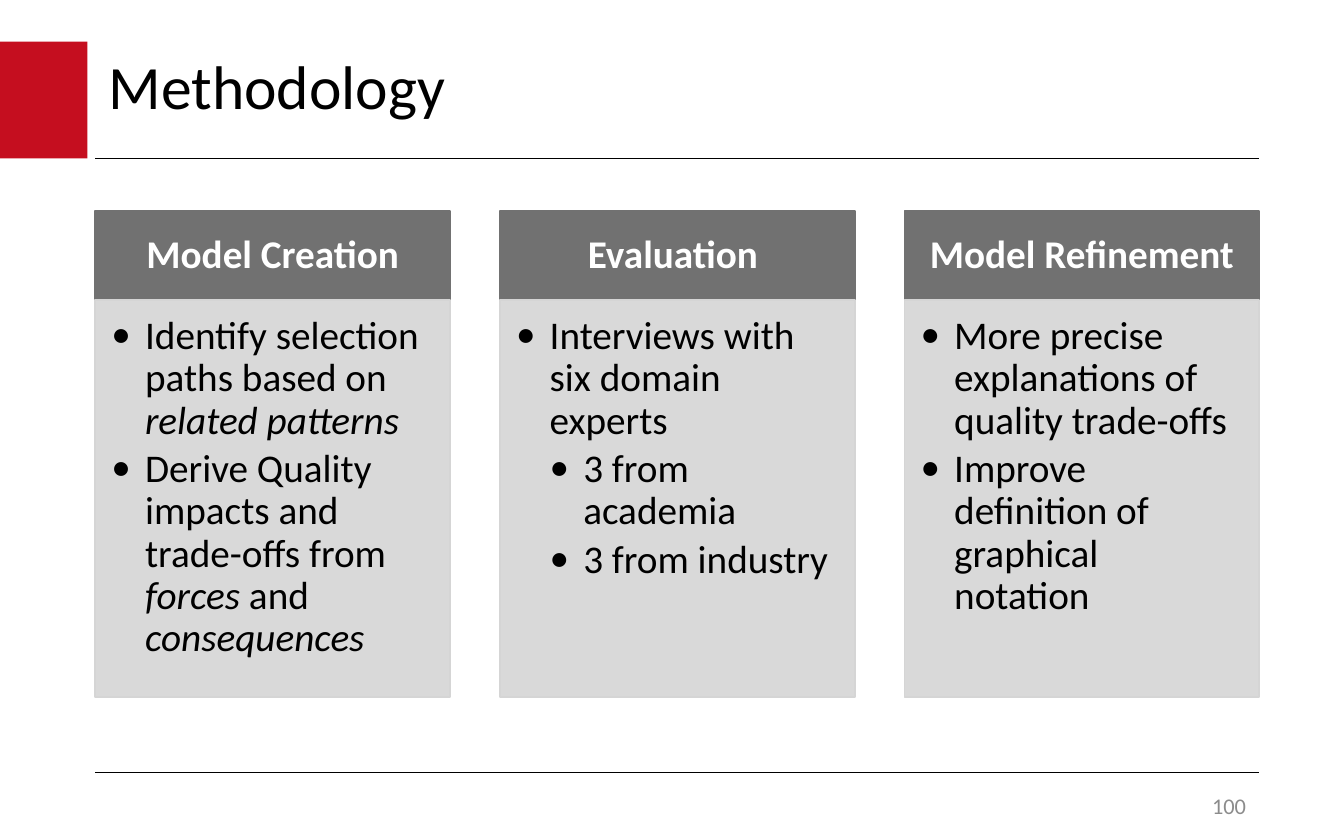
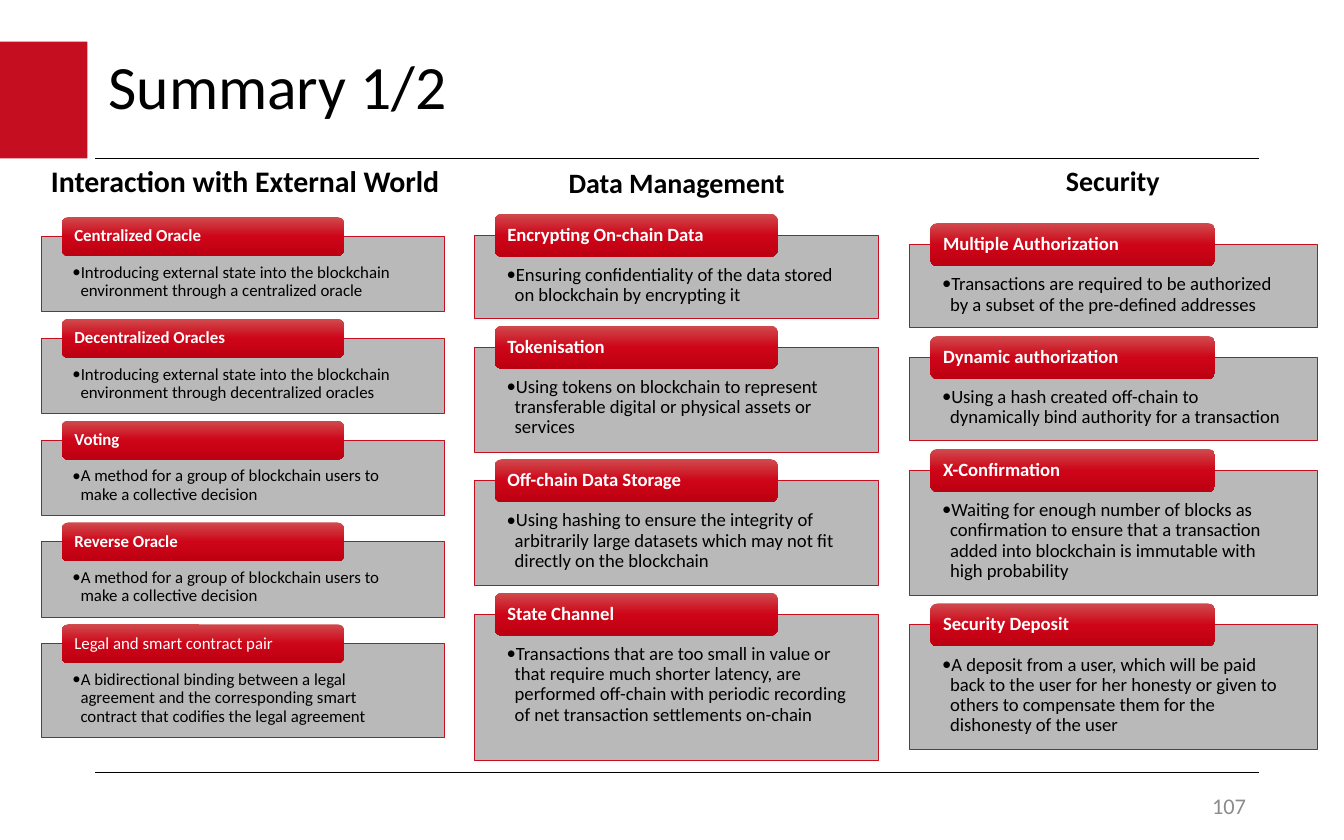
from copy import deepcopy
from dataclasses import dataclass

from lxml import etree
from pptx import Presentation
from pptx.dml.color import RGBColor
from pptx.enum.shapes import MSO_CONNECTOR, MSO_SHAPE
from pptx.enum.text import MSO_ANCHOR, PP_ALIGN
from pptx.oxml.ns import qn
from pptx.util import Inches, Pt

RECTANGLE, ROUNDED = MSO_SHAPE.RECTANGLE, MSO_SHAPE.ROUNDED_RECTANGLE
STRAIGHT = MSO_CONNECTOR.STRAIGHT
LEFT, CENTER, RIGHT = PP_ALIGN.LEFT, PP_ALIGN.CENTER, PP_ALIGN.RIGHT
TOP, MIDDLE = MSO_ANCHOR.TOP, MSO_ANCHOR.MIDDLE


@dataclass(frozen=True)
class Theme:
    font: str = "Calibri"
    black: str = "000000"
    white: str = "FFFFFF"
    red: str = "C50E1F"
    dark_gray: str = "717171"
    light_gray: str = "D5D5D5"
    card_gray: str = "B2B2B2"
    number_gray: str = "8C8C8C"
    tab_gradient: tuple = ("CF4B4E", "CE0518", "BC0011")
    title_size: int = 33
    step_size: int = 21
    number_size: int = 12


theme = Theme()


def write_text(shape, *paragraphs, size, color=theme.black, bold=False, align=LEFT,
               anchor=TOP, margins=(0.1, 0.05, 0.1, 0.05), spacing=0.9, indent=0):
    """Fill a shape with text; *stars* mark italics, and with an indent
    each paragraph is a (level, text) bullet."""
    frame = shape.text_frame
    frame.word_wrap = True
    frame.vertical_anchor = anchor
    (frame.margin_left, frame.margin_top,
     frame.margin_right, frame.margin_bottom) = map(Inches, margins)
    for index, text in enumerate(paragraphs):
        paragraph = frame.add_paragraph() if index else frame.paragraphs[0]
        if indent:
            level, text = text
            paragraph.level = level
            properties = paragraph._p.get_or_add_pPr()
            properties.set("marL", str(Inches(indent * level)))
            properties.set("indent", str(-Inches(indent)))
            etree.SubElement(properties, qn("a:buFont"), typeface=theme.font)
            etree.SubElement(properties, qn("a:buChar"), char="•")
            paragraph.space_after = Pt(0.15 * size)
        paragraph.alignment = align
        paragraph.line_spacing = spacing
        for position, part in enumerate(text.split("*")):
            if not part:
                continue
            run = paragraph.add_run()
            run.text = part
            run.font.name = theme.font
            run.font.size = Pt(size)
            run.font.bold = bold
            run.font.italic = position % 2 == 1
            run.font.color.rgb = RGBColor.from_string(color)


def add_box(slide, kind, left, top, width, height, fill, line=None, line_width=1,
            opacity=100):
    """Add a preset shape; a tuple of three colours gives a downward gradient."""
    shape = slide.shapes.add_shape(kind, *map(Inches, (left, top, width, height)))
    shape.shadow.inherit = False
    if isinstance(fill, tuple):
        shape.fill.gradient()
        shape.fill.gradient_angle = 270
        stop_list = shape.element.spPr.find(".//" + qn("a:gsLst"))
        stop_list.append(deepcopy(stop_list[0]))
        for index, stop in enumerate(shape.fill.gradient_stops):
            stop.position = index / 2
            stop.color.rgb = RGBColor.from_string(fill[index])
    else:
        shape.fill.solid()
        shape.fill.fore_color.rgb = RGBColor.from_string(fill)
        if opacity < 100:
            color = shape.element.spPr.find(".//" + qn("a:srgbClr"))
            etree.SubElement(color, qn("a:alpha"), val=str(opacity * 1000))
    if line:
        shape.line.color.rgb = RGBColor.from_string(line)
        shape.line.width = Pt(line_width)
    else:
        shape.line.fill.background()
    return shape


presentation = Presentation()
presentation.slide_width = Inches(10)
presentation.slide_height = Inches(6.25)
blank_layout = presentation.slide_layouts[6]

# Shared frame: red block, rules, title and page number
content_left, content_right = 0.71, 9.37
slides = []
for title, number in (("Methodology", "100"), ("Summary 1/2", "107")):
    slide = presentation.slides.add_slide(blank_layout)
    slides.append(slide)
    add_box(slide, RECTANGLE, 0, 0.31, 0.65, 0.87, theme.red)
    for rule_top in (1.18, 5.75):
        rule = slide.shapes.add_connector(
            STRAIGHT, Inches(content_left), Inches(rule_top),
            Inches(content_right), Inches(rule_top))
        rule.line.color.rgb = RGBColor.from_string(theme.black)
        rule.line.width = Pt(0.75)
        etree.SubElement(rule.element.spPr, qn("a:effectLst"))
    title_box = slide.shapes.add_textbox(
        Inches(content_left), Inches(0.31), Inches(8.66), Inches(0.71))
    write_text(title_box, title, size=theme.title_size, anchor=MIDDLE)
    number_box = slide.shapes.add_textbox(
        Inches(7.34), Inches(5.87), Inches(2.03), Inches(0.25))
    write_text(number_box, number, size=theme.number_size, color=theme.number_gray,
               align=RIGHT, anchor=MIDDLE, spacing=1)

methodology, summary = slides

# Methodology: three steps side by side
steps = (
    ("Model Creation", (
        (1, "Identify selection paths based on *related patterns*"),
        (1, "Derive Quality impacts and trade-offs from *forces* and *consequences*"))),
    ("Evaluation ", (
        (1, "Interviews with six domain experts"),
        (2, "3 from academia"),
        (2, "3 from industry"))),
    ("Model Refinement", (
        (1, "More precise explanations of quality trade-offs"),
        (1, "Improve definition of graphical notation"))),
)
step_width, step_pitch = 2.64, 3.01
for index, (step, points) in enumerate(steps):
    left = content_left + index * step_pitch
    header = add_box(methodology, RECTANGLE, left, 1.57, step_width, 0.66,
                     theme.dark_gray, theme.dark_gray)
    write_text(header, step, size=theme.step_size, color=theme.white, bold=True,
               align=CENTER, anchor=MIDDLE, margins=(0.16, 0.09, 0.16, 0.09))
    body = add_box(methodology, RECTANGLE, left, 2.23, step_width, 2.96,
                   theme.light_gray, theme.light_gray, opacity=90)
    write_text(body, *points, size=theme.step_size, indent=0.25,
               margins=(0.12, 0.12, 0.16, 0.18))

# Summary: three columns of pattern cards, spread evenly from top to bottom
columns = (
    dict(heading="Interaction with External World", heading_size=16,
         heading_at=(0.15, 1.16, 3.35, 0.37), left=0.31, top=1.76, bottom=5.49,
         width=3, inset=0.23, tab_height=0.29, size=9,
         cards=(
             ("Centralized Oracle", 0.56,
              "Introducing external state into the blockchain environment "
              "through a centralized oracle"),
             ("Decentralized Oracles", 0.56,
              "Introducing external state into the blockchain environment "
              "through decentralized oracles"),
             ("Voting", 0.56,
              "A method for a group of blockchain users to make a collective decision"),
             ("Reverse Oracle", 0.56,
              "A method for a group of blockchain users to make a collective decision"),
             ("Legal and smart contract pair", 0.7,
              "A bidirectional binding between a legal agreement and the corresponding "
              "smart contract that codifies the legal agreement"))),
    dict(heading="Data Management", heading_size=15,
         heading_at=(3.53, 1.18, 3.01, 0.35), left=3.53, top=1.75, bottom=5.66,
         width=3.01, inset=0.24, tab_height=0.32, size=10,
         cards=(
             ("Encrypting On-chain Data", 0.62,
              "Ensuring confidentiality of the data stored on blockchain by encrypting it"),
             ("Tokenisation", 0.78,
              "Using tokens on blockchain to represent transferable digital or "
              "physical assets or services"),
             ("Off-chain Data Storage", 0.78,
              "Using hashing to ensure the integrity of arbitrarily large datasets "
              "which may not fit directly on the blockchain"),
             ("State Channel", 1.09,
              "Transactions that are too small in value or that require much shorter "
              "latency, are performed off-chain with periodic recording of net "
              "transaction settlements on-chain"))),
    dict(heading="Security", heading_size=15,
         heading_at=(6.76, 1.17, 3.04, 0.35), left=6.77, top=1.82, bottom=5.58,
         width=3.03, inset=0.24, tab_height=0.32, size=10,
         cards=(
             ("Multiple Authorization", 0.62,
              "Transactions are required to be authorized by a subset of the "
              "pre-defined addresses"),
             ("Dynamic authorization", 0.62,
              "Using a hash created off-chain to dynamically bind authority "
              "for a transaction"),
             ("X-Confirmation", 0.93,
              "Waiting for enough number of blocks as confirmation to ensure that a "
              "transaction added into blockchain is immutable with high probability"),
             ("Security Deposit", 0.93,
              "A deposit from a user, which will be paid back to the user for her "
              "honesty or given to others to compensate them for the dishonesty "
              "of the user"))),
)
plain_tab = "Legal and smart contract pair"
for column in columns:
    left, top, width = column["left"], column["top"], column["width"]
    tab_height, size, cards = column["tab_height"], column["size"], column["cards"]
    cards_height = sum(height for _, height, _ in cards)
    gap = (column["bottom"] - top - cards_height) / (len(cards) - 1)
    for pattern, height, description in cards:
        card = add_box(summary, RECTANGLE, left, top, width, height,
                       theme.card_gray, theme.red, 0.5, opacity=90)
        write_text(card, (1, description), size=size, indent=0.06,
                   margins=(column["inset"], 0.7 * tab_height, 0.23, 0.07))
        tab = add_box(summary, ROUNDED, left + 0.05 * width, top - tab_height / 2,
                      0.7 * width, tab_height, theme.tab_gradient)
        write_text(tab, pattern, size=size, color=theme.white,
                   bold=pattern != plain_tab, anchor=MIDDLE, margins=(0.08, 0, 0.08, 0))
        top += height + gap
    heading_box = summary.shapes.add_textbox(*map(Inches, column["heading_at"]))
    write_text(heading_box, column["heading"], size=column["heading_size"], bold=True,
               align=CENTER, spacing=1)

presentation.save("out.pptx")
